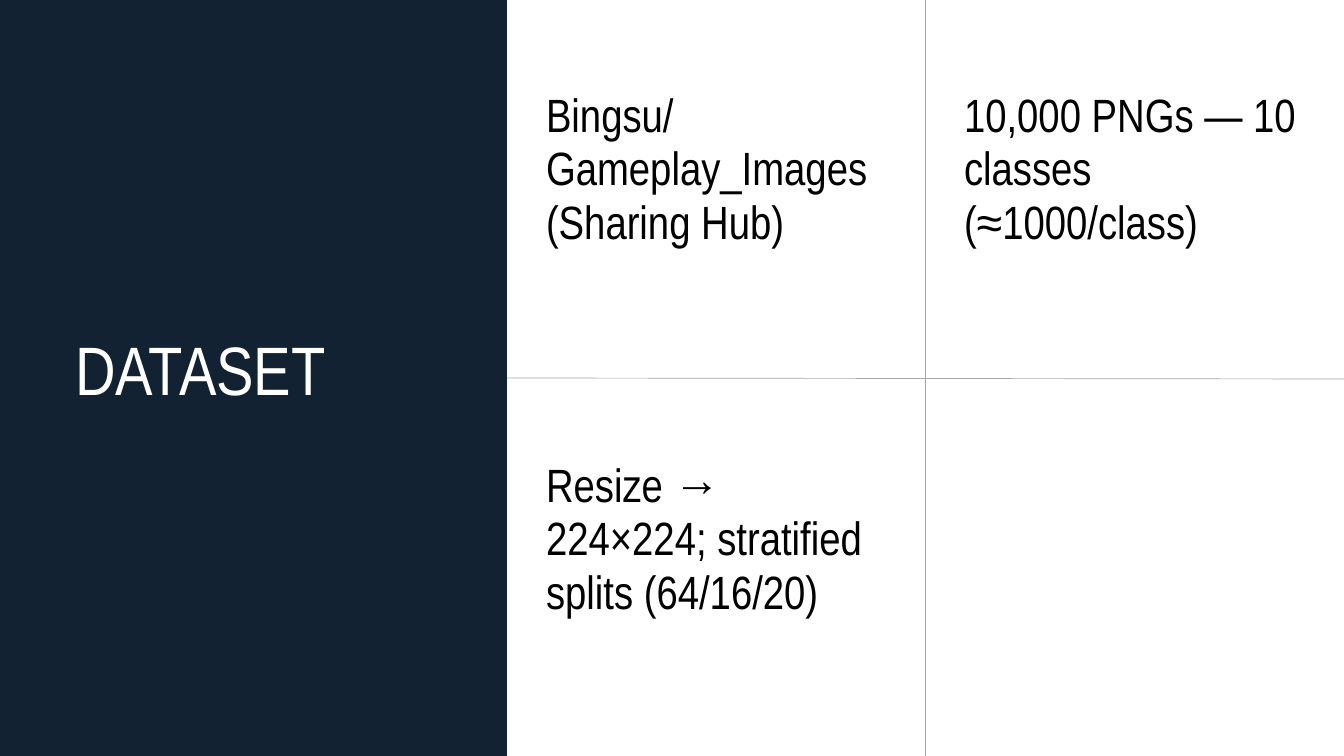
"""Build the dataset slide: a dark title panel beside a two by two grid of facts."""
import pptx
import pptx.dml.color
import pptx.enum.shapes
import pptx.util
from lxml import etree

WIDE, HIGH, SIDE, MID_X, MID_Y = 1344, 756, 507, 925, 378
Pt = pptx.util.Pt
color = pptx.dml.color.RGBColor.from_string


def px(n):
    return pptx.util.Emu(round(n * 914400 / 67.2))


def write(text, box, size, lead, ink):
    frame = slide.shapes.add_textbox(*map(px, box)).text_frame
    frame.word_wrap = True
    frame.margin_left = frame.margin_right = 0
    frame.margin_top = frame.margin_bottom = 0
    para = frame.paragraphs[0]
    para.text = text
    para.line_spacing = Pt(lead)
    para.font.name = "Arial Narrow"
    para.font.size = Pt(size)
    para.font.color.rgb = color(ink)


deck = pptx.Presentation()
deck.slide_width, deck.slide_height = px(WIDE), px(HIGH)
slide = deck.slides.add_slide(deck.slide_layouts[6])

panel = slide.shapes.add_shape(
    pptx.enum.shapes.MSO_SHAPE.RECTANGLE, 0, 0, px(SIDE), px(HIGH))
panel.shadow.inherit = False
panel.fill.solid()
panel.fill.fore_color.rgb = color("132232")
panel.line.fill.background()
write("DATASET", (75, 330, 431, 80), 73.4, 84.4, "FFFFFF")

for ends in [(SIDE, MID_Y, WIDE, MID_Y + 1), (MID_X, 0, MID_X, HIGH)]:
    rule = slide.shapes.add_connector(
        pptx.enum.shapes.MSO_CONNECTOR.STRAIGHT, *map(px, ends))
    rule.line.color.rgb = color("A6A6A6")
    rule.line.width = Pt(0.75)
    etree.SubElement(rule._element.spPr, pptx.oxml.ns.qn("a:effectLst"))

facts = [
    "Bingsu/Gameplay_Images (Sharing Hub)",
    "10,000 PNGs — 10 classes (≈1000/class)",
    "Resize → 224×224; stratified splits (64/16/20)",
]
for i, fact in enumerate(facts):
    row, col = divmod(i, 2)
    box = (546 + col * (MID_X - SIDE), 88 + row * 370, 340, 214)
    write(fact, box, 50, 57.5, "000000")

deck.save("out.pptx")
